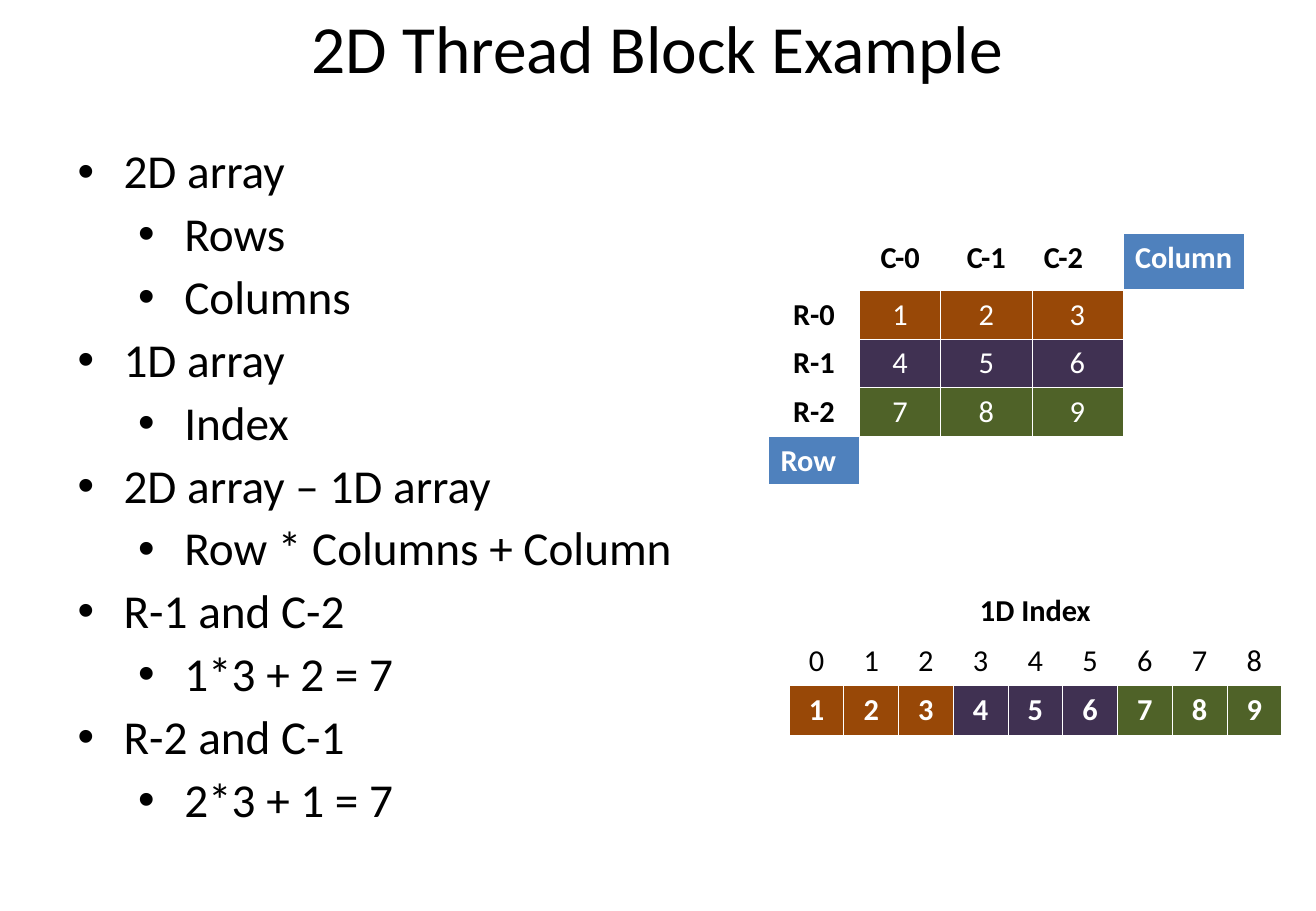
from lxml.etree import SubElement as Sub
from pptx import Presentation
from pptx.dml.color import RGBColor as RGB
from pptx.enum.text import MSO_ANCHOR as Anchor, PP_ALIGN as Align
from pptx.oxml.ns import qn
from pptx.util import Inches, Pt

theme = {
    "font": "Calibri", "title": Pt(40), "body": Pt(28), "cell": Pt(18),
    "black": RGB.from_string("000000"), "white": RGB.from_string("FFFFFF"),
    "label": RGB.from_string("4F81BD"),
    "rows": [RGB.from_string(tone) for tone in ("984807", "403152", "4F6228")],
    "thin": Pt(0.45), "thick": Pt(1.47),
}


def write(para, text, size, color, bold=False, align=Align.LEFT):
    para.alignment = align
    run = para.add_run()
    run.text = text
    look = {"name": theme["font"], "size": size, "bold": bold}
    for key, value in look.items():
        setattr(run.font, key, value)
    run.font.color.rgb = color


def paint(cell, row, text="", fill=None, bold=False, align=Align.CENTER):
    # A heavier rule parts the first row from the second
    props = cell._tc.get_or_add_tcPr()
    heavy = {"T": row == 1, "B": row == 0}
    for side in "LRTB":
        width = theme["thick" if heavy.get(side) else "thin"]
        line = Sub(props, qn(f"a:ln{side}"), w=str(width))
        solid = Sub(line, qn("a:solidFill"))
        Sub(solid, qn("a:srgbClr"), val=str(theme["white"]))
    if fill is None:
        cell.fill.background()
    else:
        cell.fill.solid()
        cell.fill.fore_color.rgb = fill
    if text:
        color = theme["black" if fill is None else "white"]
        write(cell.text_frame.paragraphs[0], text, theme["cell"], color, bold, align)


deck = Presentation()
deck.slide_width, deck.slide_height = Inches(10.84), Inches(7.5)
slide = deck.slides.add_slide(deck.slide_layouts[6])
shapes = slide.shapes

# Title and body frames
frames = []
for box in ((0, 0, 10.83, 0.92), (0.54, 1.17, 5.71, 5.53)):
    frame = shapes.add_textbox(*map(Inches, box)).text_frame
    frame.word_wrap = True
    frame.vertical_anchor = Anchor.TOP
    frames.append(frame)
title, body = frames
write(title.paragraphs[0], "2D Thread Block Example", theme["title"],
      theme["black"], align=Align.CENTER)

# Bullet list
points = [
    (0, "2D array"), (1, "Rows"), (1, "Columns"),
    (0, "1D array"), (1, "Index"),
    (0, "2D array – 1D array"), (1, "Row * Columns + Column"),
    (0, "R-1 and C-2"), (1, "1*3 + 2 = 7"),
    (0, "R-2 and C-1"), (1, "2*3 + 1 = 7"),
]
for num, (level, text) in enumerate(points):
    para = body.add_paragraph() if num else body.paragraphs[0]
    layout = {"level": level, "line_spacing": 0.9, "space_before": Pt(7)}
    for key, value in layout.items():
        setattr(para, key, value)
    props = para._p.get_or_add_pPr()
    props.set("marL", str(Inches(0.38 + 0.5 * level)))
    props.set("indent", str(Inches(-0.38)))
    Sub(props, qn("a:buFont"), typeface="Arial")
    Sub(props, qn("a:buChar"), char="•")
    write(para, text, theme["body"], theme["black"])

# Table frames: 2D grid and 1D index
plans = [
    ((6.33, 1.92, 3.92, 2.08), [0.75, 0.67, 0.75, 0.75, 1], [0.47] + [0.4] * 4),
    ((6.5, 4.83, 4.06, 1.22), [0.451] * 9, [0.41, 0.4, 0.41]),
]
tables = []
for box, wide, high in plans:
    table = shapes.add_table(len(high), len(wide), *map(Inches, box)).table
    table.first_row = table.horz_banding = False
    for col, size in zip(table.columns, wide):
        col.width = Inches(size)
    for row, size in zip(table.rows, high):
        row.height = Inches(size)
    tables.append(table)
grid, index = tables

# 2D grid: headings, values and the two axis labels
for row in range(5):
    for col in range(5):
        cell = grid.cell(row, col)
        if (row, col) in ((0, 4), (4, 0)):
            paint(cell, row, "Row" if row else "Column", theme["label"], True, Align.LEFT)
        elif row == 0 and col > 0:
            paint(cell, row, f"C-{col - 1}", bold=True,
                  align=Align.LEFT if col == 3 else Align.CENTER)
        elif col == 0 and row > 0:
            paint(cell, row, f"R-{row - 1}", bold=True)
        elif 0 < row < 4 and col < 4 and col > 0:
            paint(cell, row, str(3 * (row - 1) + col), theme["rows"][row - 1])
        else:
            paint(cell, row)

# 1D index: heading, positions and values
index.cell(0, 0).merge(index.cell(0, 8))
for col in range(9):
    paint(index.cell(0, col), 0, "" if col else "1D Index", bold=True)
    paint(index.cell(1, col), 1, str(col))
    paint(index.cell(2, col), 2, str(col + 1), theme["rows"][col // 3], True)

deck.save("out.pptx")
